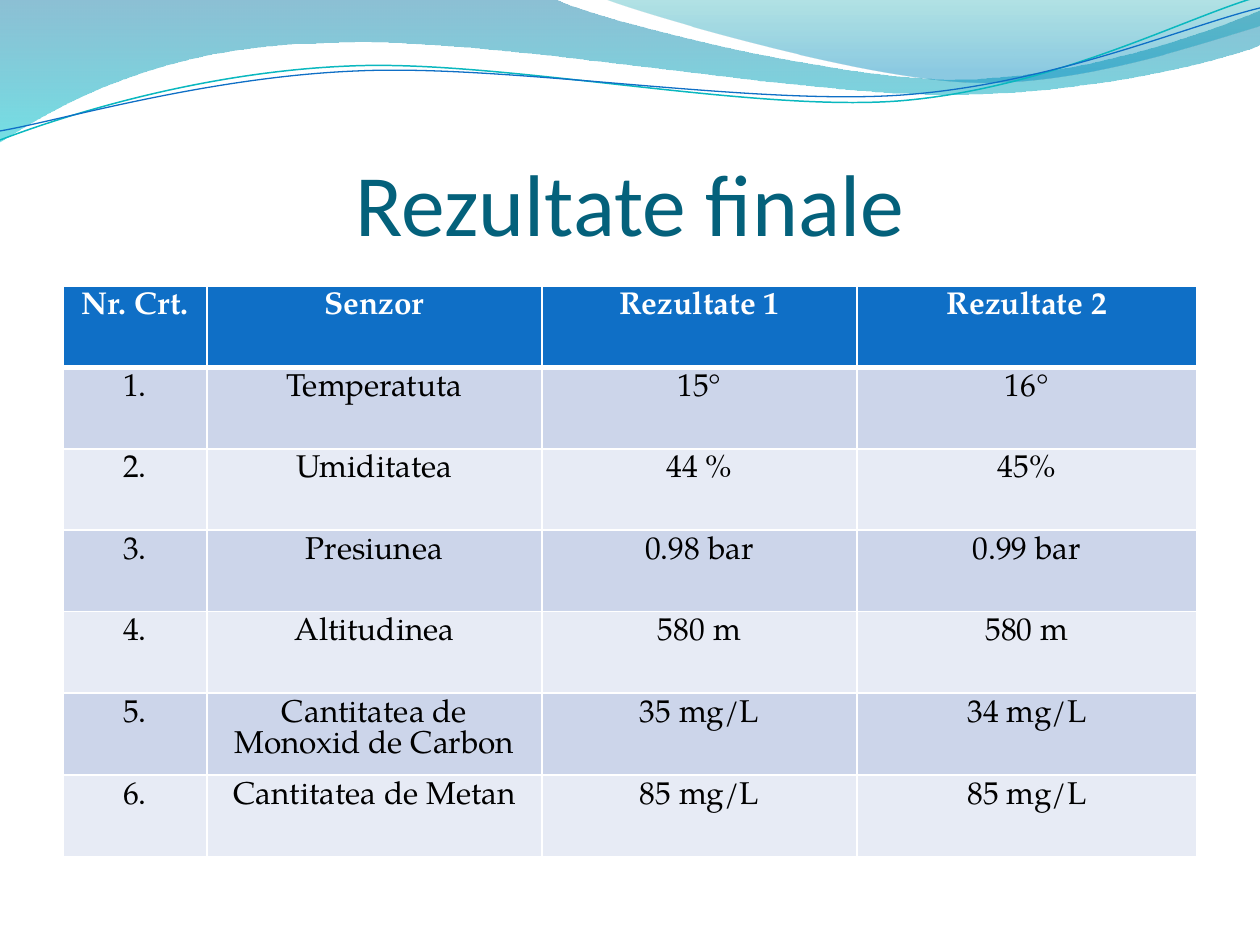
from lxml import etree
from pptx import Presentation
from pptx import util as u
from pptx.dml.color import RGBColor
from pptx.enum import text
from pptx.oxml import ns

PX = 914400 / 126
TEAL = RGBColor(0x04, 0x61, 0x7B)
BLUE = RGBColor(0x0F, 0x6F, 0xC6)
AQUA = RGBColor(0x0A, 0xB8, 0xBF)
WHITE = RGBColor(255, 255, 255)
BLACK = RGBColor(0, 0, 0)
BANDS = [RGBColor(0xE7, 0xEB, 0xF5), RGBColor(0xCC, 0xD5, 0xEA)]

TITLE = "Rezultate finale"
ROWS = [
    ("Nr. Crt.", "Senzor", "Rezultate 1", "Rezultate 2"),
    ("1.", "Temperatuta", "15°", "16°"),
    ("2.", "Umiditatea", "44 %", "45%"),
    ("3.", "Presiunea", "0.98 bar", "0.99 bar"),
    ("4.", "Altitudinea", "580 m", "580 m"),
    ("5.", "Cantitatea de Monoxid de Carbon", "35 mg/L", "34 mg/L"),
    ("6.", "Cantitatea de Metan", "85 mg/L", "85 mg/L"),
]
WIDTHS = [144, 335, 315, 340]
LEFT, TOP, HEIGHT = 63, 286, 570

WAVES = [
    ([(0, 0), (554, -1), (600, 21, 837, 79, 955, 79),
      (1075, 79, 1207, 33, 1260, 11), (1261, 45),
      (1239, 55, 1096, 96, 940, 94), (784, 94, 481, 35, 324, 43),
      (163, 45, 58, 105, -1, 142), (0, 0)],
     [(0, RGBColor(0x00, 0x74, 0xA1), 45), (1, RGBColor(0x00, 0xC6, 0xCF), 55)]),
    ([(604, -1), (641, 14, 859, 78, 969, 82),
      (1079, 87, 1211, 40, 1260, 26), (1260, 0), (604, -1)],
     [(0, RGBColor(0x00, 0xA1, 0xA9), 30), (0.8, RGBColor(0x00, 0x8B, 0xBF), 45)]),
]
LINES = [
    ([(0, 140), (60, 117, 199, 72, 349, 66), (498, 59, 747, 112, 898, 101),
      (1050, 89, 1182, 19, 1257, -3)], AQUA, 0.85),
    ([(0, 131), (59, 121, 207, 77, 357, 71), (508, 64, 752, 106, 903, 95),
      (1053, 84, 1186, 26, 1260, 8)], BLUE, 0.75),
]


def px(n):
    return u.Emu(round(n * PX))


def bend(shape, steps):
    track = next(shape.element.iter(ns.qn("a:path")))
    legs = iter(track.findall(ns.qn("a:lnTo")))
    for step in steps[1:]:
        leg = next(legs)
        if len(step) == 6:
            leg.tag = ns.qn("a:cubicBezTo")
            for extra in (next(legs), next(legs)):
                leg.append(extra[0])
                track.remove(extra)


def draw(slide, steps, close):
    pts = [(px(s[i]), px(s[i + 1])) for s in steps for i in range(0, len(s), 2)]
    pen = slide.shapes.build_freeform(*pts[0])
    pen.add_line_segments(pts[1:], close=close)
    shape = pen.convert_to_shape()
    shape.shadow.inherit = False
    bend(shape, steps)
    return shape


def shade(shape, stops):
    shape.line.fill.background()
    shape.fill.gradient()
    shape.fill.gradient_angle = 270
    for stop, (place, color, alpha) in zip(shape.fill.gradient_stops, stops):
        stop.position = place
        stop.color.rgb = color
    tints = shape.element.spPr.iter(ns.qn("a:srgbClr"))
    for tint, (place, color, alpha) in zip(tints, stops):
        etree.SubElement(tint, ns.qn("a:alpha"), val=str(alpha * 1000))


def edge(cell, sides):
    props = cell._tc.get_or_add_tcPr()
    for i, (side, size) in enumerate(sides):
        line = etree.Element(ns.qn("a:ln" + side), w=str(u.Pt(size)))
        fill = etree.SubElement(line, ns.qn("a:solidFill"))
        etree.SubElement(fill, ns.qn("a:srgbClr"), val=str(WHITE))
        props.insert(i, line)


def style(para, font, size, color, bold=False):
    para.alignment = text.PP_ALIGN.CENTER
    para.font.name = font
    para.font.size = u.Pt(size)
    para.font.color.rgb = color
    para.font.bold = bold


def add_title(slide):
    box = slide.shapes.add_textbox(px(63), px(97), px(1134), px(157))
    frame = box.text_frame
    frame.word_wrap = True
    frame.vertical_anchor = text.MSO_ANCHOR.BOTTOM
    frame.margin_left = frame.margin_right = frame.margin_bottom = 0
    frame.text = TITLE
    style(frame.paragraphs[0], "Calibri", 50, TEAL)


def add_grid(slide):
    grid = slide.shapes.add_table(len(ROWS), len(WIDTHS), px(LEFT), px(TOP),
                                  px(sum(WIDTHS)), px(HEIGHT)).table
    for col, width in zip(grid.columns, WIDTHS):
        col.width = px(width)
    for r, row in enumerate(ROWS):
        grid.rows[r].height = px(HEIGHT / len(ROWS))
        head = r == 0
        for c, word in enumerate(row):
            cell = grid.cell(r, c)
            cell.text = word
            cell.margin_bottom = 0
            cell.fill.solid()
            cell.fill.fore_color.rgb = BLUE if head else BANDS[r % 2]
            style(cell.text_frame.paragraphs[0], "TeX Gyre Pagella", 18,
                  WHITE if head else BLACK, head)
            edge(cell, [("L", 1), ("R", 1), ("T", 3 if r == 1 else 1),
                        ("B", 3 if head else 1)])


def main():
    deck = Presentation()
    deck.slide_width, deck.slide_height = px(1260), px(945)
    slide = deck.slides.add_slide(deck.slide_layouts[6])
    for steps, stops in WAVES:
        shade(draw(slide, steps, True), stops)
    for steps, color, size in LINES:
        curve = draw(slide, steps, False)
        curve.fill.background()
        curve.line.color.rgb = color
        curve.line.width = u.Pt(size)
    add_title(slide)
    add_grid(slide)
    deck.save("out.pptx")


if __name__ == "__main__":
    main()
